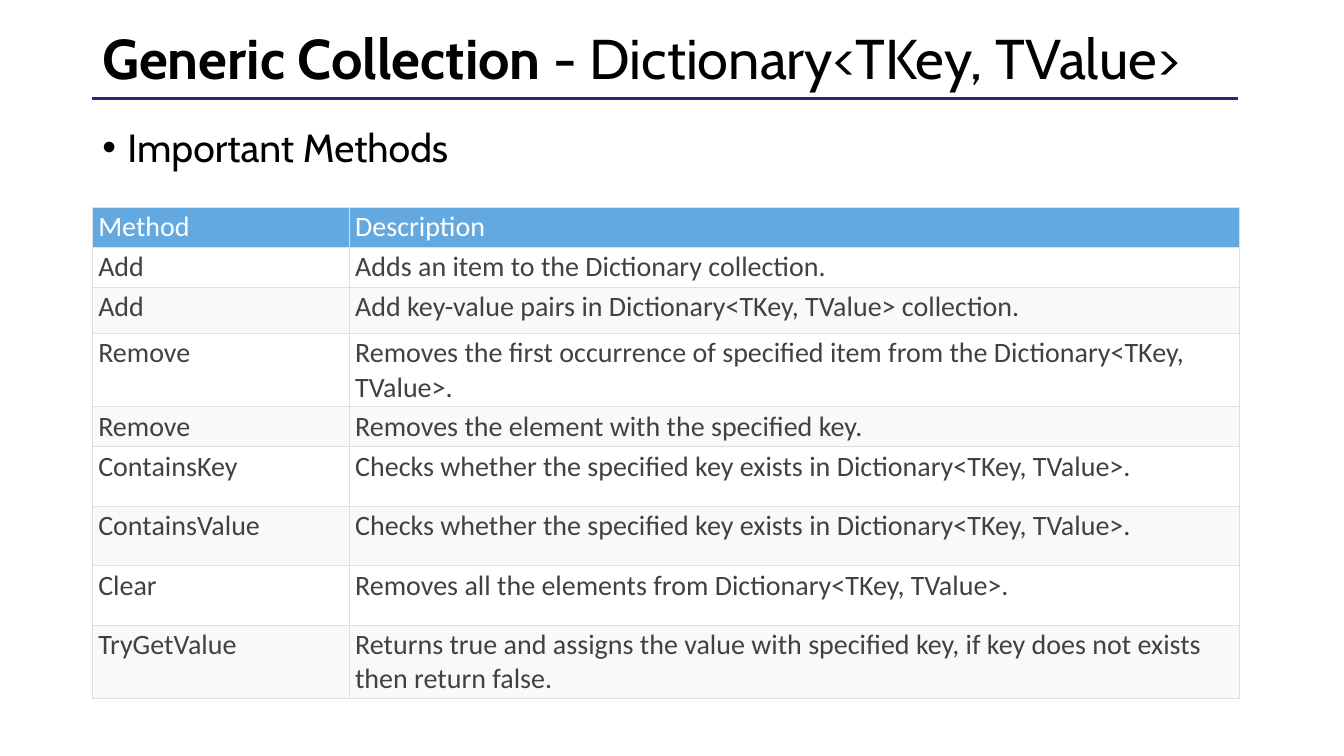
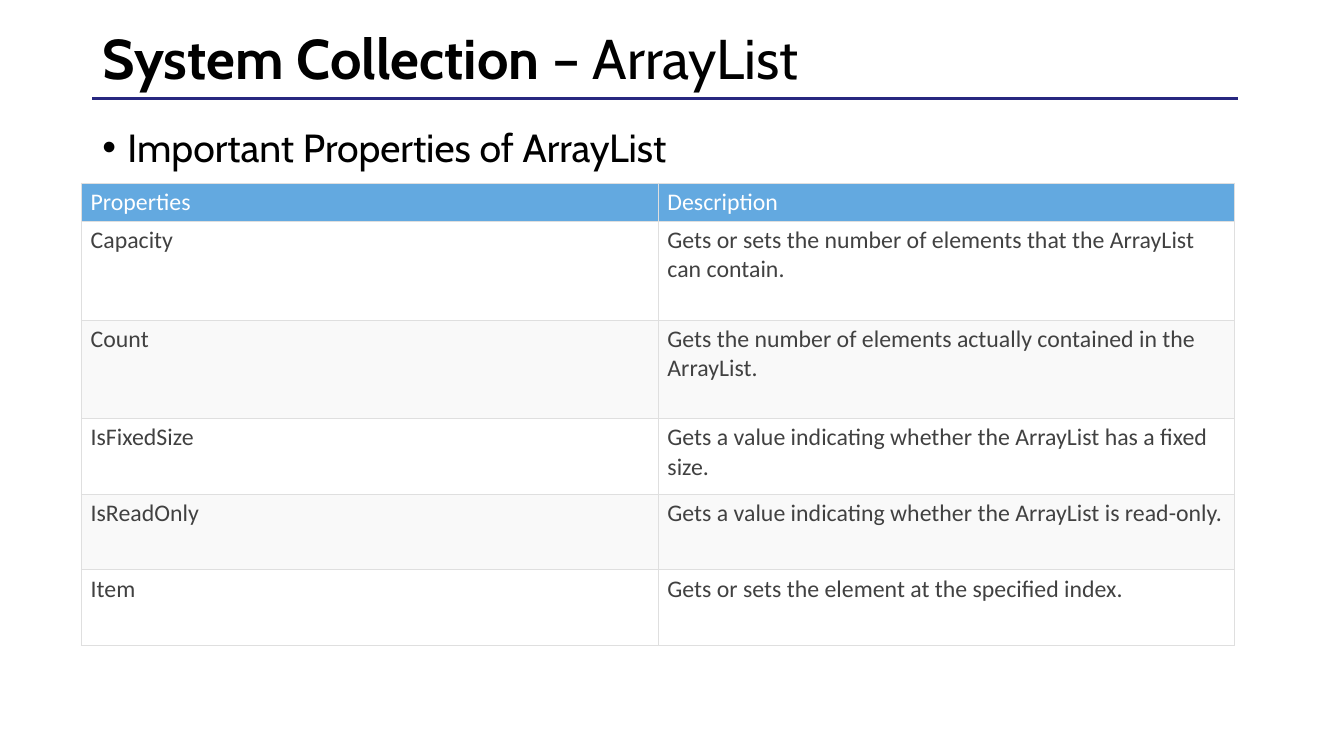
from dataclasses import dataclass

from lxml.etree import SubElement
from pptx import Presentation
from pptx.dml.color import RGBColor
from pptx.enum.shapes import MSO_CONNECTOR as Connector
from pptx.enum.text import MSO_ANCHOR as Anchor
from pptx.oxml.ns import qn
from pptx.util import Pt


@dataclass(frozen=True)
class Theme:
    heading_font: str = "Cabin"
    table_font: str = "Calibri"
    ink: str = "000000"
    rule: str = "272780"
    header_fill: str = "63A9E0"
    header_ink: str = "FFFFFF"
    cell_ink: str = "414141"
    border: str = "DFDFDF"
    bands: tuple = ("FFFFFF", "F9F9F9")
    title_size: float = 40
    topic_size: float = 28


THEME = Theme()


def add_text(paragraph, text, *, size, font, color, bold=False):
    run = paragraph.add_run()
    run.text = text
    run.font.size = Pt(size)
    run.font.name = font
    run.font.bold = bold
    run.font.color.rgb = RGBColor.from_string(color)


class Deck:
    def __init__(self, theme):
        self.theme = theme
        self.presentation = Presentation()
        self.presentation.slide_width = Pt(960)
        self.presentation.slide_height = Pt(540)
        self.slide = None

    def new_slide(self, subject, detail, topic):
        blank = self.presentation.slide_layouts[6]
        self.slide = self.presentation.slides.add_slide(blank)
        self.rule()
        self.title(subject, detail)
        self.topic(topic)

    def rule(self):
        rule = self.slide.shapes.add_connector(
            Connector.STRAIGHT, Pt(66), Pt(70.5), Pt(884), Pt(70.5))
        rule.line.color.rgb = RGBColor.from_string(self.theme.rule)
        rule.line.width = Pt(2)
        SubElement(rule._element.spPr, qn("a:effectLst"))

    def text_frame(self, top, height, anchor):
        box = self.slide.shapes.add_textbox(Pt(66), Pt(top), Pt(828), Pt(height))
        frame = box.text_frame
        frame.word_wrap = True
        frame.vertical_anchor = anchor
        paragraph = frame.paragraphs[0]
        paragraph.line_spacing = 0.9
        return paragraph

    def title(self, subject, detail):
        heading = self.text_frame(12, 64, Anchor.MIDDLE)
        for text, bold in ((subject + " ", True), (detail, False)):
            add_text(heading, text, size=self.theme.title_size, bold=bold,
                     font=self.theme.heading_font, color=self.theme.ink)

    def topic(self, text):
        topic = self.text_frame(88, 398, Anchor.TOP)
        topic.space_before = Pt(10)
        add_text(topic, text, size=self.theme.topic_size,
                 font=self.theme.heading_font, color=self.theme.ink)
        props = topic._p.get_or_add_pPr()
        props.set("marL", str(Pt(18)))
        props.set("indent", str(Pt(-18)))
        SubElement(props, qn("a:buFont"), typeface="Arial")
        SubElement(props, qn("a:buChar"), char="•")

    def table(self, rows, *, left, top, widths, heights, size, inset):
        table = self.slide.shapes.add_table(
            len(rows), len(widths), Pt(left), Pt(top),
            Pt(sum(widths)), Pt(sum(heights))).table
        table.first_row = table.horz_banding = False
        for column, width in zip(table.columns, widths):
            column.width = Pt(width)
        for index, (row, height, texts) in enumerate(
                zip(table.rows, heights, rows)):
            row.height = Pt(height)
            for cell, text in zip(row.cells, texts):
                self.cell(cell, text, index, size, inset)

    def cell(self, cell, text, row_index, size, inset):
        header = row_index == 0
        theme = self.theme
        cell.margin_left = cell.margin_right = Pt(inset)
        cell.margin_top = cell.margin_bottom = Pt(inset / 2)
        cell.vertical_anchor = Anchor.BOTTOM if header else Anchor.TOP
        self.borders(cell)
        fill = theme.header_fill if header else theme.bands[(row_index - 1) % 2]
        cell.fill.solid()
        cell.fill.fore_color.rgb = RGBColor.from_string(fill)
        add_text(cell.text_frame.paragraphs[0], text, size=size,
                 font=theme.table_font,
                 color=theme.header_ink if header else theme.cell_ink)

    def borders(self, cell):
        props = cell._tc.get_or_add_tcPr()
        for side in ("lnL", "lnR", "lnT", "lnB"):
            edge = SubElement(props, qn(f"a:{side}"), w=str(Pt(0.5)))
            paint = SubElement(edge, qn("a:solidFill"))
            SubElement(paint, qn("a:srgbClr"), val=self.theme.border)


DICTIONARY_METHODS = (
    ("Method", "Description"),
    ("Add", "Adds an item to the Dictionary collection."),
    ("Add", "Add key-value pairs in Dictionary<TKey, TValue> collection."),
    ("Remove", "Removes the first occurrence of specified item from the "
               "Dictionary<TKey, TValue>."),
    ("Remove", "Removes the element with the specified key."),
    ("ContainsKey", "Checks whether the specified key exists in "
                    "Dictionary<TKey, TValue>."),
    ("ContainsValue", "Checks whether the specified key exists in "
                      "Dictionary<TKey, TValue>."),
    ("Clear", "Removes all the elements from Dictionary<TKey, TValue>."),
    ("TryGetValue", "Returns true and assigns the value with specified key, "
                    "if key does not exists then return false."),
)

ARRAYLIST_PROPERTIES = (
    ("Properties", "Description"),
    ("Capacity", "Gets or sets the number of elements that the ArrayList "
                 "can contain."),
    ("Count", "Gets the number of elements actually contained in the "
              "ArrayList."),
    ("IsFixedSize", "Gets a value indicating whether the ArrayList has a "
                    "fixed size."),
    ("IsReadOnly", "Gets a value indicating whether the ArrayList is "
                   "read-only."),
    ("Item", "Gets or sets the element at the specified index."),
)


def main():
    deck = Deck(THEME)

    deck.new_slide("Generic Collection", "- Dictionary<TKey, TValue>",
                   "Important Methods")
    deck.table(DICTIONARY_METHODS, left=66, top=148, widths=(183.5, 635.5),
               heights=(28.5, 28.5, 33, 52.5, 28.5, 42.5, 42.5, 42.5, 52.5),
               size=20, inset=4.2)

    deck.new_slide("System Collection", "– ArrayList",
                   "Important Properties of ArrayList")
    deck.table(ARRAYLIST_PROPERTIES, left=58, top=130.75, widths=(412, 412),
               heights=(27, 70.5, 70.5, 54, 54, 54), size=17, inset=6.8)

    deck.presentation.save("out.pptx")


if __name__ == "__main__":
    main()
